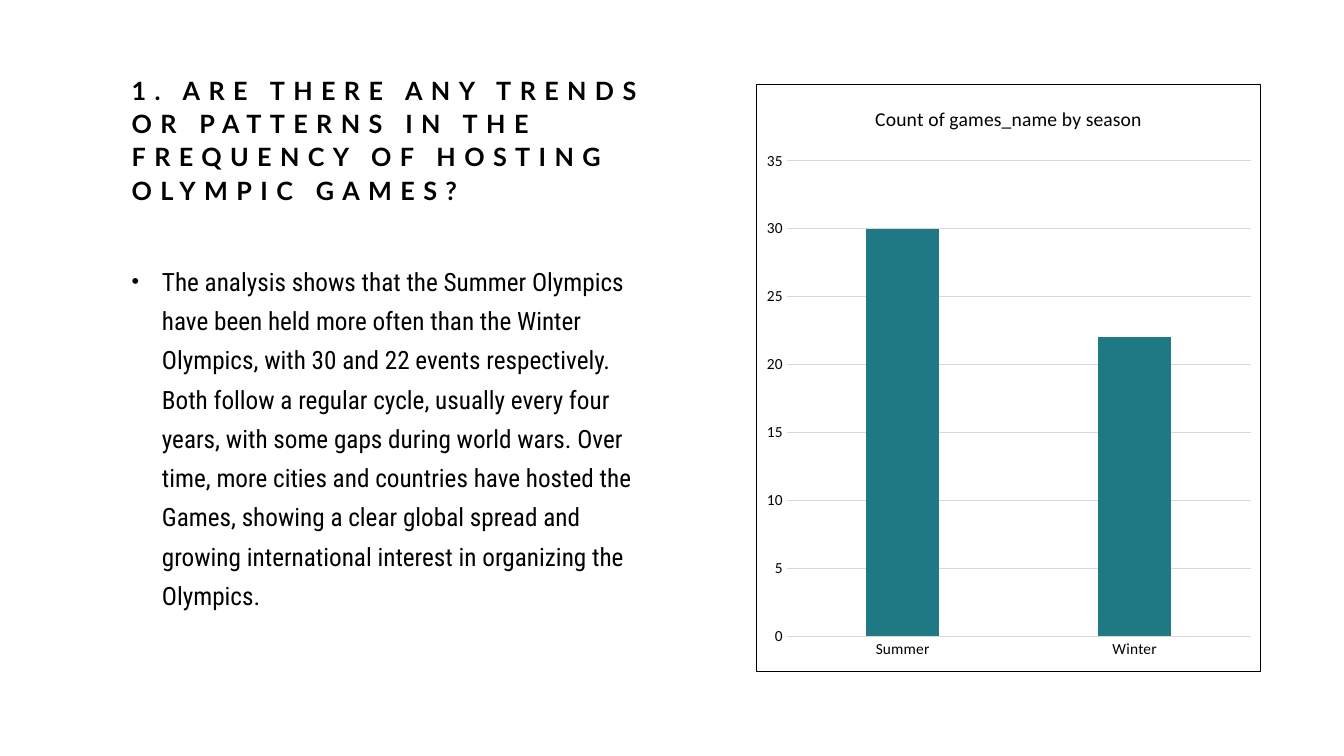
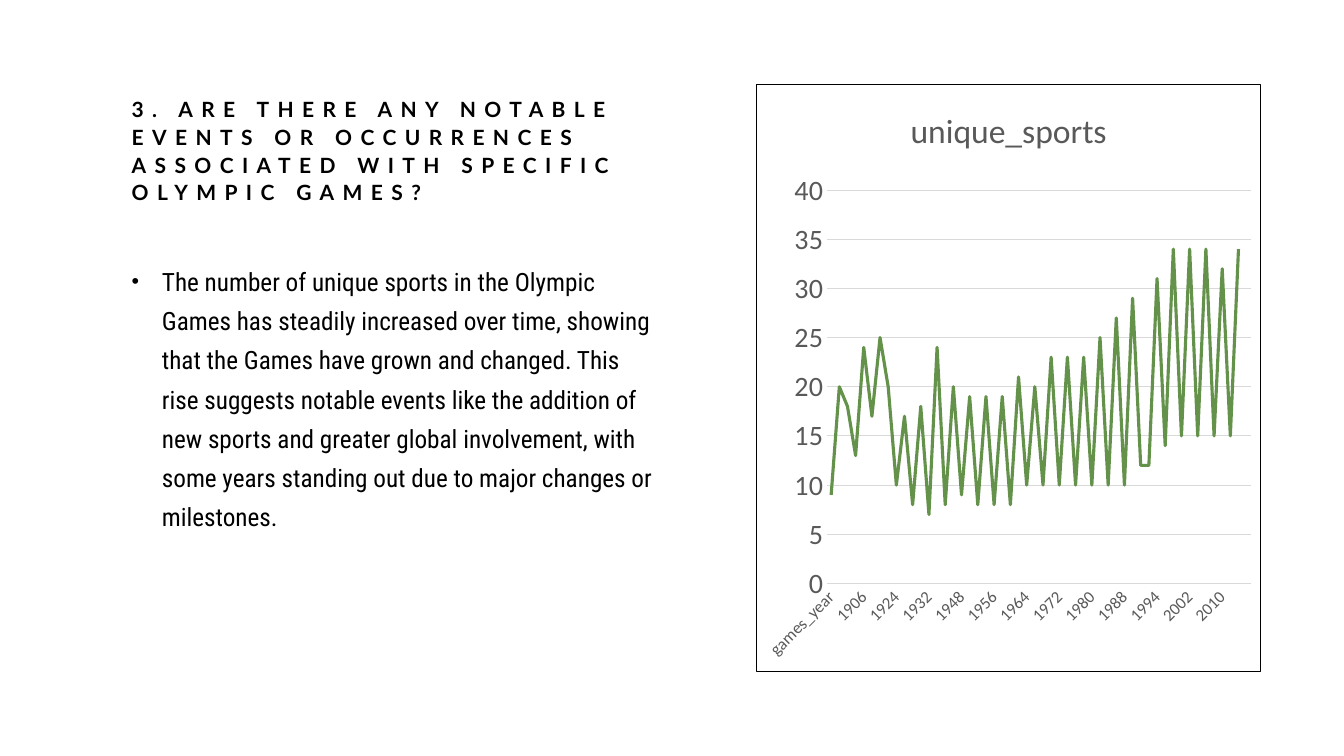
from lxml import etree
from pptx import Presentation
from pptx.chart.data import CategoryChartData
from pptx.dml.color import RGBColor
from pptx.enum.chart import XL_CHART_TYPE as ChartType, XL_TICK_MARK as Tick
from pptx.enum.text import MSO_ANCHOR as Anchor
from pptx.oxml import parse_xml
from pptx.oxml.ns import nsdecls, qn
from pptx.util import Pt

COLORS = {"ink": "000000", "paper": "FFFFFF", "grid": "D9D9D9",
          "muted": "595959", "teal": "1F7985", "green": "64924A"}

paired_years = [*range(1924, 1937, 4), *range(1948, 1993, 4)]
game_years = ["games_year", "1896", "1900", "1904", "1906", "1908", "1912", "1920",
              *[str(year) for year in paired_years for _ in range(2)],
              *[str(year) for year in range(1994, 2017, 2)]]
sport_counts = [9, 20, 18, 13, 24, 17, 25, 20, 10, 17, 8, 18, 7, 24, 8, 20, 9,
                19, 8, 19, 8, 19, 8, 21, 10, 20, 10, 23, 10, 23, 10, 23, 10, 25,
                10, 27, 10, 29, 12, 12, 31, 14, 34, 15, 34, 15, 34, 15, 32, 15,
                34, None]

# plot holds the inner plot area as fractions of the chart: x, y, w, h
QUESTIONS = [
    {"title": "1. ARE THERE ANY TRENDS OR PATTERNS IN THE FREQUENCY OF HOSTING "
              "OLYMPIC GAMES?",
     "title_size": 18,
     "answer": "The analysis shows that the Summer Olympics have been held more often "
               "than the Winter Olympics, with 30 and 22 events respectively. Both "
               "follow a regular cycle, usually every four years, with some gaps "
               "during world wars. Over time, more cities and countries have hosted "
               "the Games, showing a clear global spread and growing international "
               "interest in organizing the Olympics.",
     "kind": ChartType.COLUMN_CLUSTERED, "heading": "Count of games_name by season",
     "heading_size": 14, "text": "ink", "category_size": 11, "value_size": 11,
     "categories": ["Summer", "Winter"], "series": "Series 1", "values": [30, 22],
     "maximum": 35, "plot": (0.06, 0.13, 0.92, 0.81)},
    {"title": "3. ARE THERE ANY NOTABLE EVENTS OR OCCURRENCES ASSOCIATED WITH "
              "SPECIFIC OLYMPIC GAMES?",
     "title_size": 15,
     "answer": "The number of unique sports in the Olympic Games has steadily "
               "increased over time, showing that the Games have grown and changed. "
               "This rise suggests notable events like the addition of new sports and "
               "greater global involvement, with some years standing out due to major "
               "changes or milestones.",
     "kind": ChartType.LINE, "heading": "unique_sports",
     "heading_size": 24, "text": "muted", "category_size": 12, "value_size": 20,
     "categories": game_years, "series": "unique_sports", "values": sport_counts,
     "maximum": 40, "plot": (0.14, 0.18, 0.84, 0.67)},
]


def style_font(font, name, size, color, bold=False):
    font.name, font.size, font.bold = name, Pt(size), bold
    font.color.rgb = RGBColor.from_string(COLORS[color])


def add_paragraph_box(slide, top, height, text, line_spacing):
    """Add a text box in the left column; return its frame and paragraph."""
    frame = slide.shapes.add_textbox(Pt(87), Pt(top), Pt(393), Pt(height)).text_frame
    frame.word_wrap = True
    frame.text = text
    paragraph = frame.paragraphs[0]
    paragraph.line_spacing = line_spacing
    return frame, paragraph


prs = Presentation()
prs.slide_width, prs.slide_height = Pt(960), Pt(540)

for question in QUESTIONS:
    slide = prs.slides.add_slide(prs.slide_layouts[6])
    slide.background.fill.solid()
    slide.background.fill.fore_color.rgb = RGBColor.from_string(COLORS["paper"])

    # Question and answer
    title_frame, title = add_paragraph_box(slide, 60, 90, question["title"], 1.1)
    title_frame.vertical_anchor = Anchor.BOTTOM
    style_font(title.font, "Lato", question["title_size"], "ink", bold=True)
    title.runs[0].font._element.set("spc", "600")

    _, answer = add_paragraph_box(slide, 180, 300, question["answer"], 1.3)
    answer.space_before = Pt(10)
    style_font(answer.font, "Roboto Condensed", 18, "ink")
    bullet = answer._p.get_or_add_pPr()
    bullet.set("marL", str(Pt(21.6)))
    bullet.set("indent", str(-Pt(21.6)))
    marks = [parse_xml(f'<a:buSzPct {nsdecls("a")} val="85000"/>'),
             parse_xml(f'<a:buFont {nsdecls("a")} typeface="Arial"/>'),
             parse_xml(f'<a:buChar {nsdecls("a")} char="•"/>')]
    defaults = bullet.find(qn("a:defRPr"))
    for mark in marks:
        defaults.addprevious(mark)

    # Chart
    data = CategoryChartData()
    data.categories = question["categories"]
    data.add_series(question["series"], question["values"])
    chart = slide.shapes.add_chart(question["kind"], Pt(540), Pt(60), Pt(361), Pt(420),
                                   data).chart
    chart.has_legend = False
    style_font(chart.font, "Calibri", 10, "ink")
    chart.has_title = True
    chart.chart_title.include_in_layout = False
    chart.chart_title.text_frame.text = question["heading"]
    style_font(chart.chart_title.text_frame.paragraphs[0].font, "Calibri",
               question["heading_size"], question["text"])

    years_axis, count_axis = chart.category_axis, chart.value_axis
    for axis, size in ((years_axis, question["category_size"]),
                       (count_axis, question["value_size"])):
        axis.major_tick_mark = axis.minor_tick_mark = Tick.NONE
        style_font(axis.tick_labels.font, "Calibri", size, question["text"])
    count_axis.minimum_scale, count_axis.maximum_scale = 0, question["maximum"]
    count_axis.major_unit = 5
    count_axis.format.line.fill.background()
    for line in (years_axis.format.line, count_axis.major_gridlines.format.line):
        line.color.rgb = RGBColor.from_string(COLORS["grid"])
        line.width = Pt(0.75)

    plot = chart.plots[0]
    plot.vary_by_categories = False
    counts = plot.series[0]
    if question["kind"] == ChartType.COLUMN_CLUSTERED:
        plot.gap_width, plot.overlap = 219, -27
        counts.format.fill.solid()
        counts.format.fill.fore_color.rgb = RGBColor.from_string(COLORS["teal"])
    else:
        counts.smooth = False
        counts.format.line.color.rgb = RGBColor.from_string(COLORS["green"])
        counts.format.line.width = Pt(2.25)
        slant = years_axis._element.find(qn("c:txPr")).find(qn("a:bodyPr"))
        slant.set("rot", "-2700000")

    # Inner plot area and chart frame
    chart_root = chart.element.find(qn("c:chart"))
    plot_area = chart_root.find(qn("c:plotArea"))
    for old_layout in plot_area.findall(qn("c:layout")):
        plot_area.remove(old_layout)
    layout = etree.Element(qn("c:layout"))
    manual = etree.SubElement(layout, qn("c:manualLayout"))
    settings = [("layoutTarget", "inner"), ("xMode", "edge"), ("yMode", "edge"),
                *zip("xywh", question["plot"])]
    for tag, value in settings:
        etree.SubElement(manual, qn(f"c:{tag}")).set("val", str(value))
    plot_area.insert(0, layout)
    chart_root.addnext(parse_xml(
        f'<c:spPr {nsdecls("c", "a")}>'
        f'<a:solidFill><a:srgbClr val="{COLORS["paper"]}"/></a:solidFill>'
        f'<a:ln w="{Pt(0.75)}"><a:solidFill><a:srgbClr val="{COLORS["ink"]}"/>'
        '</a:solidFill></a:ln></c:spPr>'))

prs.save("out.pptx")
